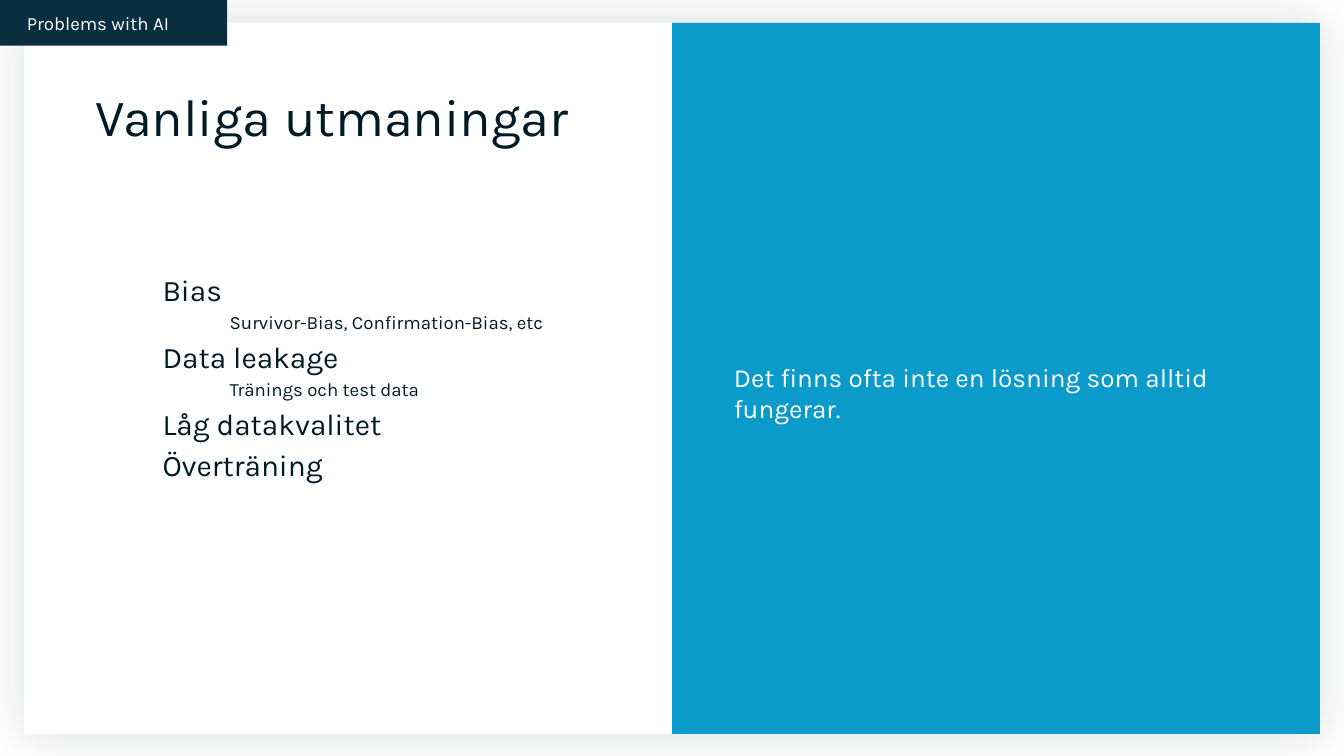
from lxml import etree
from pptx import Presentation
from pptx import util as u
from pptx.dml.color import RGBColor
from pptx.enum import shapes, text
from pptx.oxml.ns import qn

WIDTH = 10
HEIGHT = WIDTH * 9 / 16
MARGIN_X, MARGIN_Y = 0.18, 0.17
MIDDLE = WIDTH / 2
CARD_HEIGHT = 5.29
TEXT_LEFT, TEXT_WIDTH = 0.71, 3.9
INDENT = 0.5
FONT = "Karla"
COLORS = {"ink": "001B26", "tab": "082E3F", "accent": "0B9BCB", "paper": "FFFFFF"}
LEVEL_SIZES = (16, 10)
CHALLENGES = [
    (0, "Bias"),
    (1, "Survivor-Bias, Confirmation-Bias, etc"),
    (0, "Data leakage"),
    (1, "Tränings och test data"),
    (0, "Låg datakvalitet"),
    (0, "Överträning"),
]


def color(name):
    return RGBColor.from_string(COLORS[name])


def add_panel(slide, left, top, width, height, fill):
    """Plain filled rectangle without outline or shadow."""
    panel = slide.shapes.add_shape(
        shapes.MSO_SHAPE.RECTANGLE, *map(u.Inches, (left, top, width, height)))
    panel.shadow.inherit = False
    panel.fill.solid()
    panel.fill.fore_color.rgb = color(fill)
    panel.line.fill.background()
    return panel


def add_glow(panel):
    """Soft shadow around a panel."""
    effects = panel.element.spPr.find(qn("a:effectLst"))
    shadow = etree.SubElement(effects, qn("a:outerShdw"), blurRad=str(u.Pt(27)),
                              dist=str(u.Pt(0.8)), dir="0", algn="ctr", rotWithShape="0")
    tint = etree.SubElement(shadow, qn("a:srgbClr"), val=COLORS["ink"])
    etree.SubElement(tint, qn("a:alpha"), val="15000")


def set_frame(shape, anchor, insets=(0, 0, 0, 0)):
    frame = shape.text_frame
    frame.word_wrap = True
    frame.auto_size = text.MSO_AUTO_SIZE.NONE
    frame.vertical_anchor = anchor
    (frame.margin_left, frame.margin_top,
     frame.margin_right, frame.margin_bottom) = map(u.Inches, insets)
    return frame


def write(paragraph, words, size, ink):
    paragraph.alignment = text.PP_ALIGN.LEFT
    run = paragraph.add_run()
    run.text = words
    run.font.name = FONT
    run.font.size = u.Pt(size)
    run.font.color.rgb = color(ink)


def place_title(slide, words):
    title = slide.shapes.title
    title.left, title.top, title.width, title.height = map(
        u.Inches, (TEXT_LEFT, 0.63, TEXT_WIDTH, 0.65))
    frame = set_frame(title, text.MSO_ANCHOR.TOP)
    write(frame.paragraphs[0], words, 28, "ink")
    # Bring the title in front of the card
    slide.shapes.element.append(title.element)


def add_outline(slide, items):
    box = slide.shapes.add_textbox(*map(u.Inches, (TEXT_LEFT, 1.98, TEXT_WIDTH, 3.02)))
    frame = set_frame(box, text.MSO_ANCHOR.TOP)
    for index, (level, words) in enumerate(items):
        paragraph = frame.add_paragraph() if index else frame.paragraphs[0]
        paragraph.level = level
        paragraph.line_spacing = 1.15
        properties = paragraph._p.get_or_add_pPr()
        properties.set("marL", str(u.Inches(INDENT * (level + 1))))
        properties.set("indent", "0")
        write(paragraph, words, LEVEL_SIZES[level], "ink")


def main():
    deck = Presentation()
    deck.slide_width, deck.slide_height = u.Inches(WIDTH), u.Inches(HEIGHT)
    slide = deck.slides.add_slide(deck.slide_layouts[5])

    # White card with a soft shadow
    card = add_panel(slide, MARGIN_X, MARGIN_Y, WIDTH - 2 * MARGIN_X, CARD_HEIGHT, "paper")
    add_glow(card)

    # Right half: the takeaway
    takeaway = add_panel(slide, MIDDLE, MARGIN_Y, MIDDLE - MARGIN_X, CARD_HEIGHT, "accent")
    frame = set_frame(takeaway, text.MSO_ANCHOR.MIDDLE, (0.46, 0.67, 0.46, 0.46))
    write(frame.paragraphs[0], "Det finns ofta inte en lösning som alltid fungerar.", 14, "paper")

    # Left half: title and challenges
    place_title(slide, "Vanliga utmaningar")
    add_outline(slide, CHALLENGES)

    # Section tab in the corner
    section = add_panel(slide, 0, 0, 1.69, 0.34, "tab")
    frame = set_frame(section, text.MSO_ANCHOR.MIDDLE, (0.2, 0, 0.2, 0))
    write(frame.paragraphs[0], "Problems with AI", 10, "paper")

    deck.save("out.pptx")


if __name__ == "__main__":
    main()
